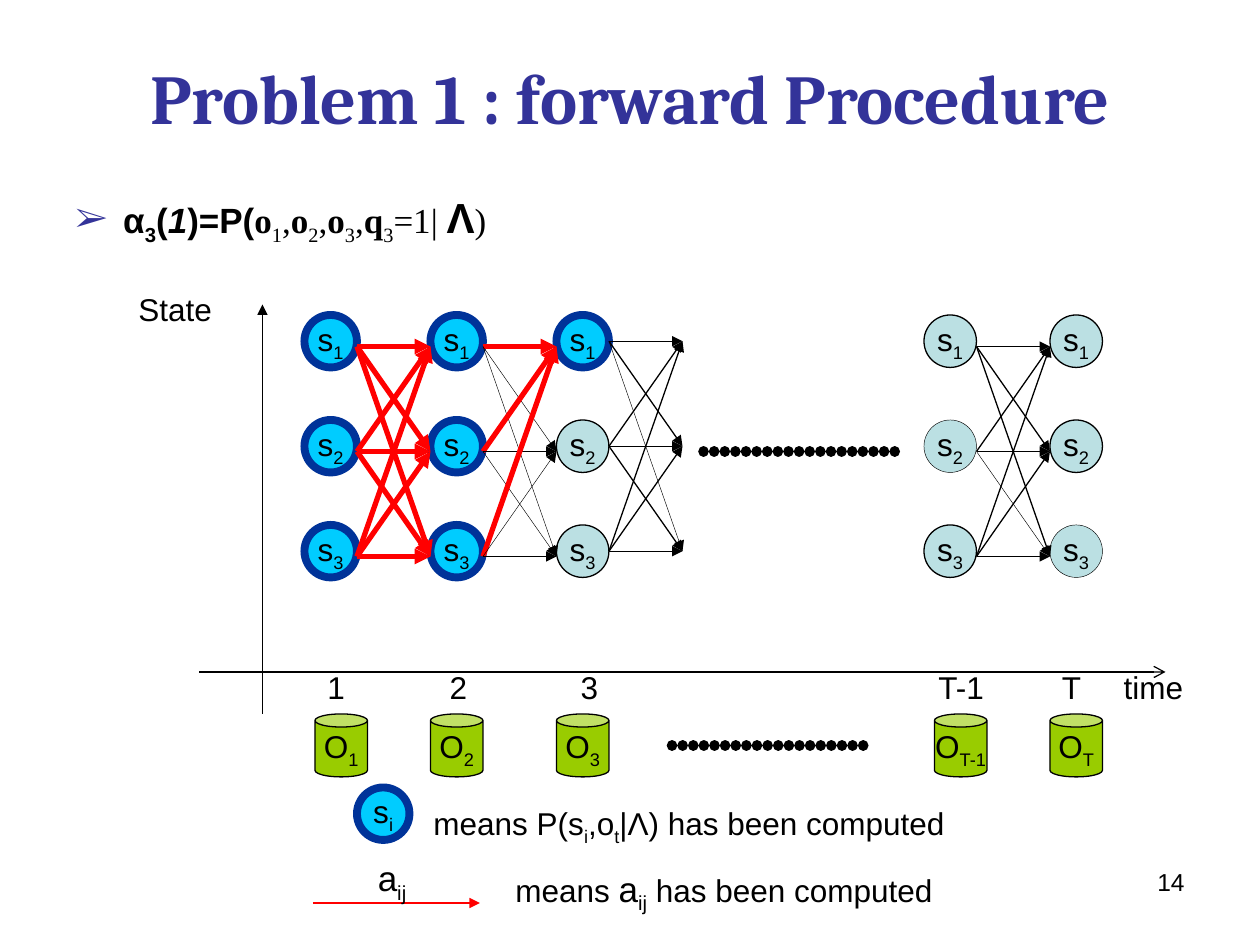
from dataclasses import dataclass
from itertools import product
from typing import NamedTuple

from pptx import Presentation
from pptx.dml.color import RGBColor
from pptx.enum.shapes import MSO_CONNECTOR, MSO_SHAPE
from pptx.enum.text import MSO_ANCHOR, MSO_AUTO_SIZE, PP_ALIGN
from pptx.oxml.ns import qn
from pptx.util import Inches, Pt
from lxml.etree import SubElement

COLORS = {
    "title": "333399", "ink": "000000", "done": "00CCFF", "done_rim": "003399",
    "open": "BBE0E3", "can": "99CC00", "path": "FF0000",
}
SUB = -25000  # baseline shift of a subscript
TOP, ROW_STEP, NODE = 30, 10, 5
STATES = (1, 2, 3)
THIN, NORMAL, BOLD = 0.25, 0.75, 3


class Span(NamedTuple):
    text: str
    size: float = 18
    sub: bool = False
    bold: bool = False
    italic: bool = False
    font: str = "Arial"
    color: str = "ink"


@dataclass
class Stage:
    """One time step of the trellis; column is the left edge of its nodes."""
    column: float
    can_column: float
    symbol: str
    done: tuple = ()
    thin: tuple = ()


@dataclass
class Transition:
    """All arrows between two neighbouring stages, as (from, to) states."""
    column: float
    first_row: float = 33
    computed: tuple = ()
    thin: tuple = ()


def cell(count: float) -> int:
    """The slide is a grid of 120 columns and 90 rows, 12 to the inch."""
    return Inches(count / 12)


def rgb(name: str) -> RGBColor:
    return RGBColor.from_string(COLORS[name])


def add_spans(para, spans) -> None:
    for item in spans:
        span = para.add_run()
        span.text = item.text
        font = span.font
        font.name, font.size = item.font, Pt(item.size)
        font.bold, font.italic = item.bold, item.italic
        font.color.rgb = rgb(item.color)
        if item.sub:
            font._element.set("baseline", str(SUB))


def add_label(slide, left, top, width, height, spans, wrap=False, align=PP_ALIGN.LEFT):
    box = slide.shapes.add_textbox(*map(cell, (left, top, width, height)))
    box.text_frame.word_wrap = wrap
    para = box.text_frame.paragraphs[0]
    para.alignment = align
    add_spans(para, spans)
    return para


def add_symbol(slide, kind, left, top, height, fill, rim, weight, letter, index) -> None:
    shape = slide.shapes.add_shape(kind, *map(cell, (left, top, NODE, height)))
    shape.shadow.inherit = False
    shape.fill.solid()
    shape.fill.fore_color.rgb = rgb(fill)
    shape.line.color.rgb = rgb(rim)
    shape.line.width = Pt(weight)
    frame = shape.text_frame
    frame.word_wrap = False
    frame.vertical_anchor = MSO_ANCHOR.MIDDLE
    para = frame.paragraphs[0]
    para.alignment = PP_ALIGN.CENTER
    add_spans(para, [Span(letter), Span(index, sub=True)])


def add_node(slide, left, top, index, done, weight=NORMAL) -> None:
    look = ("done", "done_rim", 4.5) if done else ("open", "ink", weight)
    add_symbol(slide, MSO_SHAPE.OVAL, left, top, NODE, *look, "s", index)


def add_line(slide, start, end, color="ink", weight=NORMAL, head="", dotted=False) -> None:
    line = slide.shapes.add_connector(MSO_CONNECTOR.STRAIGHT, *map(cell, (*start, *end)))
    line.line.color.rgb = rgb(color)
    line.line.width = Pt(weight)
    outline = line.line._get_or_add_ln()
    if dotted:  # round dots that almost touch
        outline.set("cap", "rnd")
        dashes = SubElement(outline, qn("a:custDash"))
        SubElement(dashes, qn("a:ds"), d="1000", sp="100000")
    if head:
        SubElement(outline, qn("a:tailEnd"), type=head)
    SubElement(line._element.spPr, qn("a:effectLst"))


def add_transition(slide, step: Transition) -> None:
    for pair in product(STATES, STATES):
        start, end = (step.first_row + (state - 1) * ROW_STEP for state in pair)
        color, weight = "ink", THIN if pair in step.thin else NORMAL
        if pair in step.computed:
            color, weight = "path", BOLD
        add_line(slide, (step.column, start), (step.column + 7, end), color, weight, "triangle")


def add_formula(slide) -> None:
    spans = [Span("α", 20, bold=True), Span("3", 20, sub=True, bold=True),
             Span("(", 20, bold=True), Span("1", 20, bold=True, italic=True),
             Span(")=P(", 20, bold=True)]
    serif = "Times New Roman"
    for letter, index, after in (("o", "1", ","), ("o", "2", ","), ("o", "3", ","), ("q", "3", "=1| ")):
        spans += [Span(letter, 20, bold=True, font=serif),
                  Span(index, 20, sub=True, font=serif), Span(after, 20, font=serif)]
    spans += [Span("Λ", 24, bold=True), Span(")", 20, font=serif)]
    para = add_label(slide, 6, 17.64, 108, 6, spans, wrap=True)
    props = para._p.get_or_add_pPr()
    props.set("marL", str(Inches(0.38)))
    props.set("indent", str(Inches(-0.38)))
    bullet_color = SubElement(props, qn("a:buClr"))
    SubElement(bullet_color, qn("a:srgbClr"), val=COLORS["title"])
    SubElement(props, qn("a:buFont"), typeface=serif)
    SubElement(props, qn("a:buChar"), char="➢")


def add_time_labels(slide) -> None:
    para = add_label(slide, 30, 63, 85, 4.8, [Span("1\t2\t3\tT-1\tT\ttime")], wrap=True)
    tabs = SubElement(para._p.get_or_add_pPr(), qn("a:tabLst"))
    for stop in (0.97, 2.01, 4.85, 5.83, 6.32):
        SubElement(tabs, qn("a:tab"), pos=str(Inches(stop)), algn="l")


def main() -> None:
    deck = Presentation()
    deck.slide_width, deck.slide_height = cell(120), cell(90)
    slide = deck.slides.add_slide(deck.slide_layouts[5])

    # Title and formula
    title = slide.shapes.title
    title.left, title.top, title.width, title.height = map(cell, (6, 3.6, 108, 11.2))
    title.text_frame.auto_size = MSO_AUTO_SIZE.NONE
    title.text_frame.vertical_anchor = MSO_ANCHOR.MIDDLE
    heading = title.text_frame.paragraphs[0]
    heading.alignment = PP_ALIGN.CENTER
    add_spans(heading, [Span("Problem 1 : forward Procedure", 40, bold=True,
                             font="Cambria", color="title")])
    add_formula(slide)

    # Trellis nodes and observations
    stages = [
        Stage(29, 30, "1", done=STATES), Stage(41, 41, "2", done=STATES),
        Stage(53, 53, "3", done=(1,)),
        Stage(88, 89, "T-1", thin=(2,)), Stage(100, 100, "T", thin=(3,)),
    ]
    for stage in stages:
        for state in STATES:
            add_node(slide, stage.column, TOP + (state - 1) * ROW_STEP, str(state),
                     state in stage.done, THIN if state in stage.thin else NORMAL)
        add_symbol(slide, MSO_SHAPE.CAN, stage.can_column, 68, 6,
                   "can", "ink", NORMAL, "O", stage.symbol)

    # Transitions
    every_pair = tuple(product(STATES, STATES))
    to_first = tuple((state, 1) for state in STATES)
    for step in (
        Transition(34, computed=every_pair),
        Transition(46, computed=to_first, thin=every_pair),
        Transition(58, first_row=32.5, thin=((1, 3),)),
        Transition(93, thin=((2, 3),)),
    ):
        add_transition(slide, step)
    for left, row in ((67, 43), (64, 71)):
        add_line(slide, (left, row), (left + 19, row), weight=6, dotted=True)

    # Axes
    add_line(slide, (19, 64), (111, 64), head="arrow")
    add_line(slide, (25, 68), (25, 29), head="triangle")
    add_label(slide, 12, 27, 9.4, 4.8, [Span("State")])
    add_time_labels(slide)

    # Legend
    add_node(slide, 34, 75, "i", done=True)
    add_label(slide, 40.1, 76, 52, 5.3, [
        Span("means P(s"), Span("i", sub=True), Span(",o"), Span("t", sub=True),
        Span("|Λ) has been computed")])
    add_line(slide, (29.8, 86), (45.7, 86), "path", head="triangle")
    weight_name = [Span("a", 20), Span("ij", 20, sub=True)]
    add_label(slide, 34.8, 81, 7, 5.8, weight_name, wrap=True)
    add_label(slide, 47.9, 82, 42.1, 5.8,
              [Span("means "), *weight_name, Span(" has been computed")])

    # Page number
    add_label(slide, 86, 82, 28, 6.2, [Span("14", 14)], wrap=True, align=PP_ALIGN.RIGHT)
    deck.save("out.pptx")


if __name__ == "__main__":
    main()
